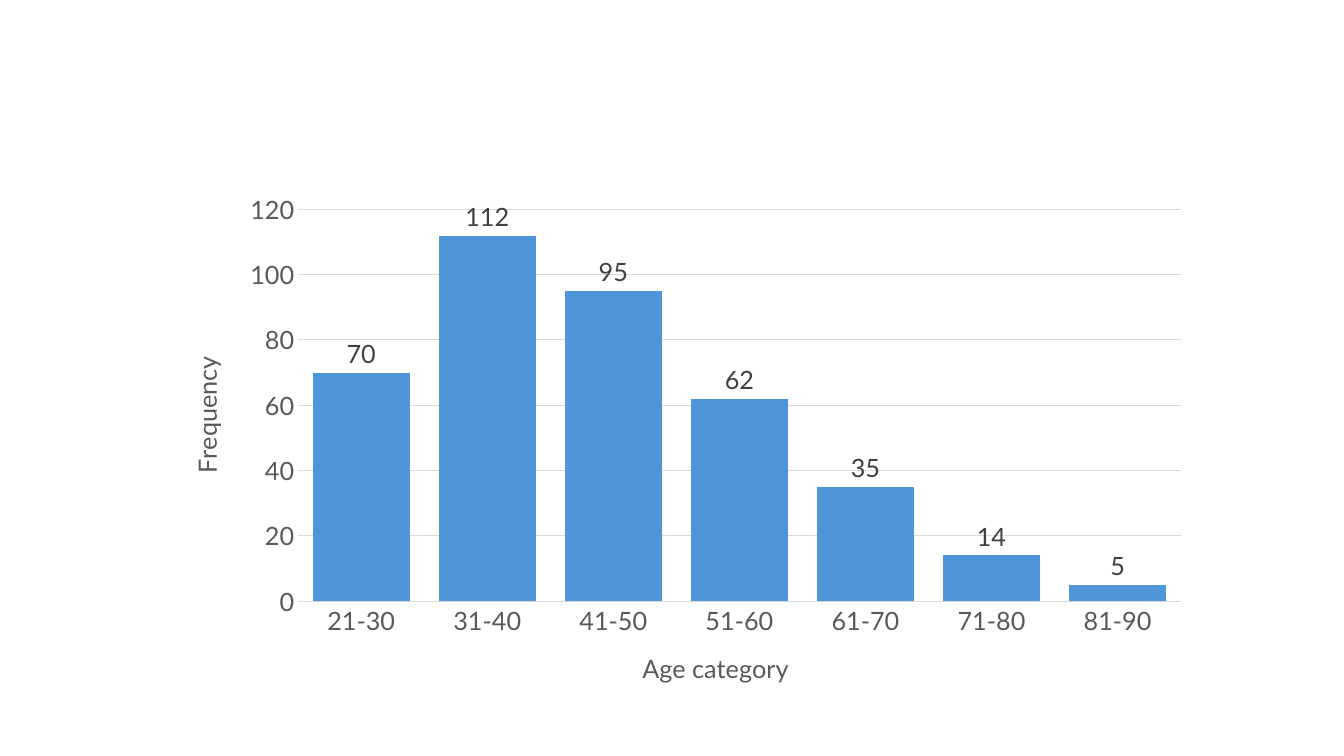
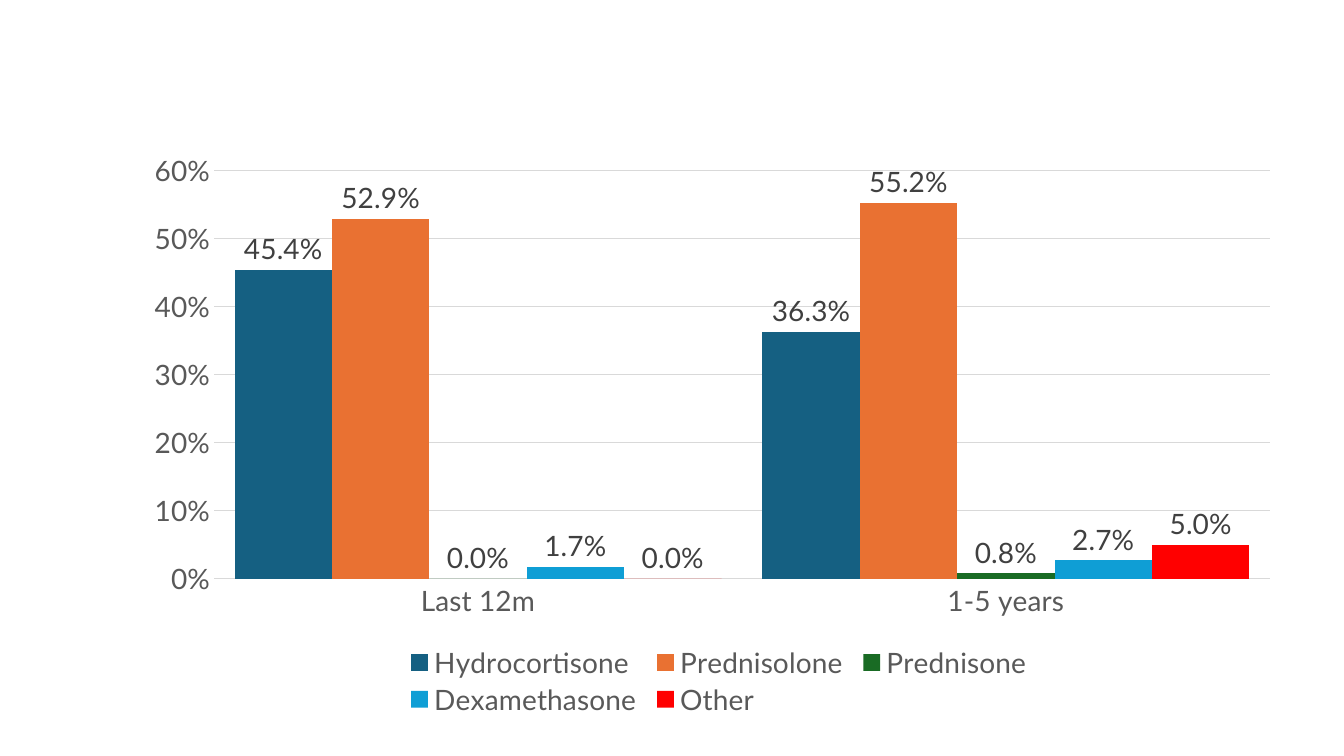
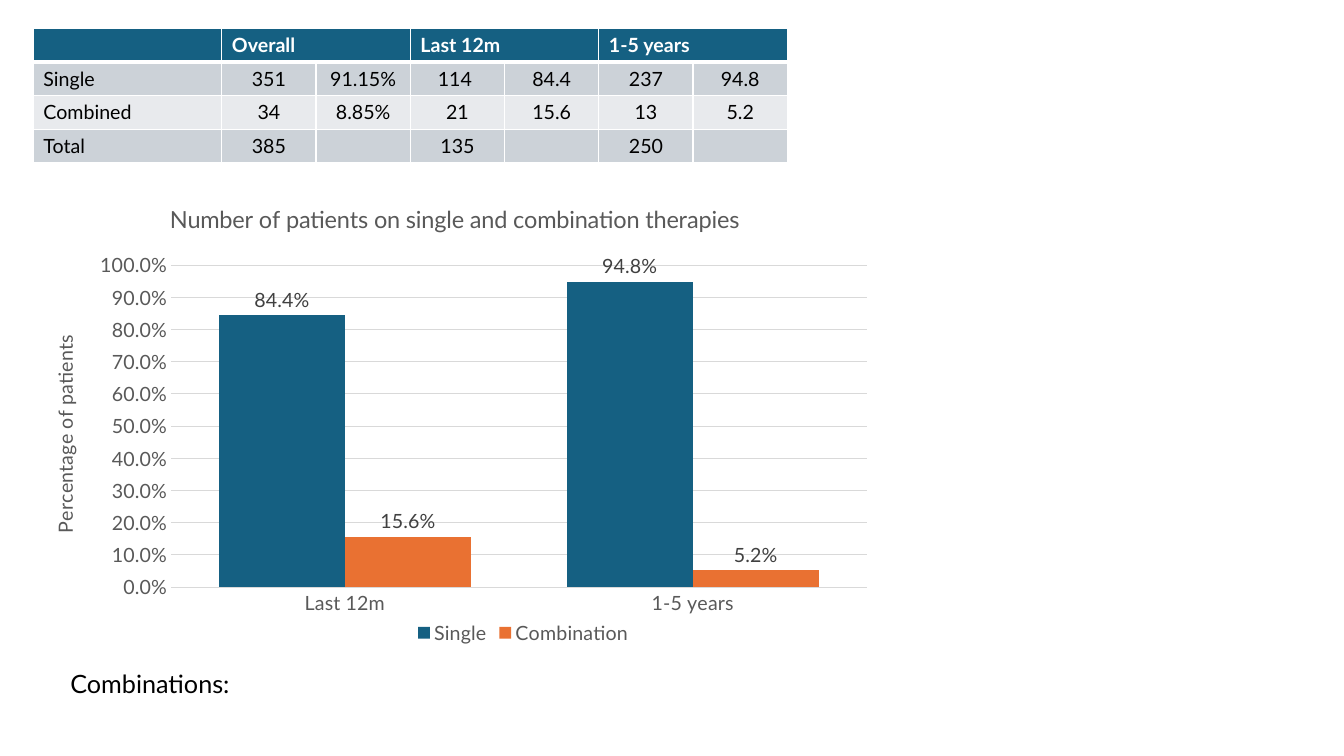
import pptx
import pptx.chart.data
import pptx.dml.color
import pptx.enum.chart
import pptx.enum.text
import pptx.oxml.ns
import pptx.util
import lxml.etree

Pt = pptx.util.Pt
RGBColor = pptx.dml.color.RGBColor
qn = pptx.oxml.ns.qn

FONT = "Lato"
WHITE = RGBColor(0xFF, 0xFF, 0xFF)
BLACK = RGBColor(0, 0, 0)
GREY = RGBColor(0x59, 0x59, 0x59)
DARK = RGBColor(0x40, 0x40, 0x40)
PALE = RGBColor(0xD9, 0xD9, 0xD9)
SKY = RGBColor(0x4E, 0x95, 0xD9)
TEAL = RGBColor(0x15, 0x60, 0x82)
ORANGE = RGBColor(0xE9, 0x71, 0x32)
GREEN = RGBColor(0x19, 0x6B, 0x24)
BLUE = RGBColor(0x0F, 0x9E, 0xD5)
RED = RGBColor(0xFF, 0, 0)
BAND_A = RGBColor(0xCC, 0xD2, 0xD8)
BAND_B = RGBColor(0xE8, 0xEA, 0xED)

PERIODS = ["Last 12m", "1-5 years"]


def style(font, size, color, bold=False):
    font.name = FONT
    font.size = Pt(size)
    font.bold = bold
    font.color.rgb = color


def write(frame, text, size=14, color=BLACK, bold=False, align=None):
    line = frame.paragraphs[0]
    line.alignment = align
    if text:
        run = line.add_run()
        run.text = text
        style(run.font, size, color, bold)
    else:
        end = lxml.etree.SubElement(line._p, qn("a:endParaRPr"))
        end.set("sz", str(size * 100))


def lay_out(box, inner=False):
    layout = lxml.etree.Element(qn("c:layout"))
    manual = lxml.etree.SubElement(layout, qn("c:manualLayout"))
    parts = [("layoutTarget", "inner")] if inner else []
    parts += [("xMode", "edge"), ("yMode", "edge")]
    parts += zip("xywh", box)
    for tag, val in parts:
        lxml.etree.SubElement(manual, qn("c:" + tag)).set("val", str(val))
    return layout


def drop_layout(node):
    for old in node.findall(qn("c:layout")):
        node.remove(old)


def set_axis(axis, size, title=None, line=False):
    style(axis.tick_labels.font, size, GREY)
    axis.major_tick_mark = pptx.enum.chart.XL_TICK_MARK.NONE
    axis.minor_tick_mark = pptx.enum.chart.XL_TICK_MARK.NONE
    if line:
        axis.format.line.color.rgb = PALE
        axis.format.line.width = Pt(0.75)
    else:
        axis.format.line.fill.background()
    axis.has_title = title is not None
    if title:
        write(axis.axis_title.text_frame, title, size=size, color=GREY)


def set_legend(chart, size, area):
    chart.has_legend = True
    legend = chart.legend
    legend.position = pptx.enum.chart.XL_LEGEND_POSITION.BOTTOM
    legend.include_in_layout = False
    style(legend.font, size, GREY)
    node = legend._element
    drop_layout(node)
    node.find(qn("c:legendPos")).addnext(lay_out(area))


def add_bars(slide, box, cats, rows, size, plot_area, top, step, gap,
             overlap=0, tick_fmt="General", label_fmt="General", title=None,
             cat_title=None, val_title=None, cat_line=True, key_area=None):
    data = pptx.chart.data.CategoryChartData()
    data.categories = cats
    for name, vals, _ in rows:
        data.add_series(name, vals)
    kind = pptx.enum.chart.XL_CHART_TYPE.COLUMN_CLUSTERED
    chart = slide.shapes.add_chart(kind, *map(Pt, box), data).chart
    style(chart.font, size, BLACK)
    chart.has_title = title is not None
    if title:
        write(chart.chart_title.text_frame, title, size=size * 1.2, color=GREY)
    chart.has_legend = False
    if key_area:
        set_legend(chart, size, key_area)

    set_axis(chart.category_axis, size, cat_title, cat_line)
    axis = chart.value_axis
    set_axis(axis, size, val_title)
    if val_title:
        body = axis.axis_title.text_frame._txBody.find(qn("a:bodyPr"))
        body.set("rot", "-5400000")
        body.set("vert", "horz")
    axis.minimum_scale = 0
    axis.maximum_scale = top
    axis.major_unit = step
    axis.tick_labels.number_format = tick_fmt
    axis.tick_labels.number_format_is_linked = False
    axis.has_major_gridlines = True
    axis.major_gridlines.format.line.color.rgb = PALE
    axis.major_gridlines.format.line.width = Pt(0.75)

    plot = chart.plots[0]
    plot.vary_by_categories = False
    plot.gap_width = gap
    plot.overlap = overlap
    for bars, (_, _, color) in zip(plot.series, rows):
        bars.invert_if_negative = False
        bars.format.fill.solid()
        bars.format.fill.fore_color.rgb = color
        tags = bars.data_labels
        tags.show_value = True
        tags.position = pptx.enum.chart.XL_LABEL_POSITION.OUTSIDE_END
        tags.number_format = label_fmt
        tags.number_format_is_linked = False
        style(tags.font, size, DARK)
    node = plot._element.getparent()
    drop_layout(node)
    node.insert(0, lay_out(plot_area, inner=True))


def set_edges(cell, top, bottom):
    props = cell._tc.get_or_add_tcPr()
    widths = [("L", 1), ("R", 1), ("T", top), ("B", bottom)]
    for spot, (side, width) in enumerate(widths):
        edge = lxml.etree.Element(qn("a:ln" + side), w=str(Pt(width)))
        fill = lxml.etree.SubElement(edge, qn("a:solidFill"))
        lxml.etree.SubElement(fill, qn("a:srgbClr"), val=str(WHITE))
        props.insert(spot, edge)


def add_grid(slide, box, rows):
    left, top, width, height = box
    count = len(rows[0])
    shape = slide.shapes.add_table(len(rows), count, *map(Pt, box))
    table = shape.table
    table.horz_banding = False
    unit = width / (count + 1)
    for c, col in enumerate(table.columns):
        col.width = Pt(unit if c else 2 * unit)
    for r, row in enumerate(rows):
        table.rows[r].height = Pt(height / len(rows))
        head = r == 0
        fill = TEAL if head else (BAND_A if r % 2 else BAND_B)
        for c, text in enumerate(row):
            cell = table.cell(r, c)
            cell.fill.solid()
            cell.fill.fore_color.rgb = fill
            set_edges(cell, 3 if r == 1 else 1, 3 if head else 1)
            mid = pptx.enum.text.PP_ALIGN.CENTER if c and not head else None
            write(cell.text_frame, text, color=WHITE if head else BLACK,
                  bold=head, align=mid)
    for c in range(1, count, 2):
        table.cell(0, c).merge(table.cell(0, c + 1))


def add_note(slide, box, text):
    frame = slide.shapes.add_textbox(*map(Pt, box)).text_frame
    frame.word_wrap = True
    write(frame, text, size=18)


def age_slide(slide):
    add_bars(
        slide, (116.6, 131, 741.6, 373),
        ["21-30", "31-40", "41-50", "51-60", "61-70", "71-80", "81-90"],
        [("Frequency", [70, 112, 95, 62, 35, 14, 5], SKY)],
        size=18, plot_area=(0.13, 0.05, 0.85, 0.75), top=120, step=20,
        gap=30, overlap=-27, cat_title="Age category", val_title="Frequency")


def drug_slide(slide):
    drugs = [
        ("Hydrocortisone", [0.454, 0.363], TEAL),
        ("Prednisolone", [0.529, 0.552], ORANGE),
        ("Prednisone", [0, 0.008], GREEN),
        ("Dexamethasone", [0.017, 0.027], BLUE),
        ("Other", [0, 0.05], RED),
    ]
    add_bars(
        slide, (95, 100.8, 828.7, 416.9), PERIODS, drugs,
        size=20, plot_area=(0.07, 0.05, 0.91, 0.7), top=0.6, step=0.1,
        gap=42, tick_fmt="0%", label_fmt="0.0%", cat_line=False,
        key_area=(0.23, 0.86, 0.55, 0.13))


def therapy_slide(slide):
    add_bars(
        slide, (18, 131, 613.4, 343.4), PERIODS,
        [("Single", [0.844, 0.948], TEAL),
         ("Combination", [0.156, 0.052], ORANGE)],
        size=14, plot_area=(0.17, 0.17, 0.81, 0.67), top=1, step=0.1,
        gap=76, tick_fmt="0.0%", label_fmt="0.0%",
        title="Number of patients on single and combination therapies",
        val_title="Percentage of patients",
        key_area=(0.45, 0.9, 0.26, 0.07))
    add_note(slide, (43.2, 473.8, 607, 28.8), "Combinations:")
    add_grid(slide, (23.8, 20.2, 538.6, 96), [
        ["", "Overall", "", "Last 12m", "", "1-5 years", ""],
        ["Single", "351", "91.15%", "114 ", "84.4", "237", "94.8"],
        ["Combined", "34", "8.85%", "21", "15.6", "13", "5.2"],
        ["Total", "385", "", "135", "", "250", ""],
    ])


def main():
    deck = pptx.Presentation()
    deck.slide_width = Pt(960)
    deck.slide_height = Pt(540)
    blank = deck.slide_layouts[6]
    for build in (age_slide, drug_slide, therapy_slide):
        build(deck.slides.add_slide(blank))
    deck.save("out.pptx")


if __name__ == "__main__":
    main()
